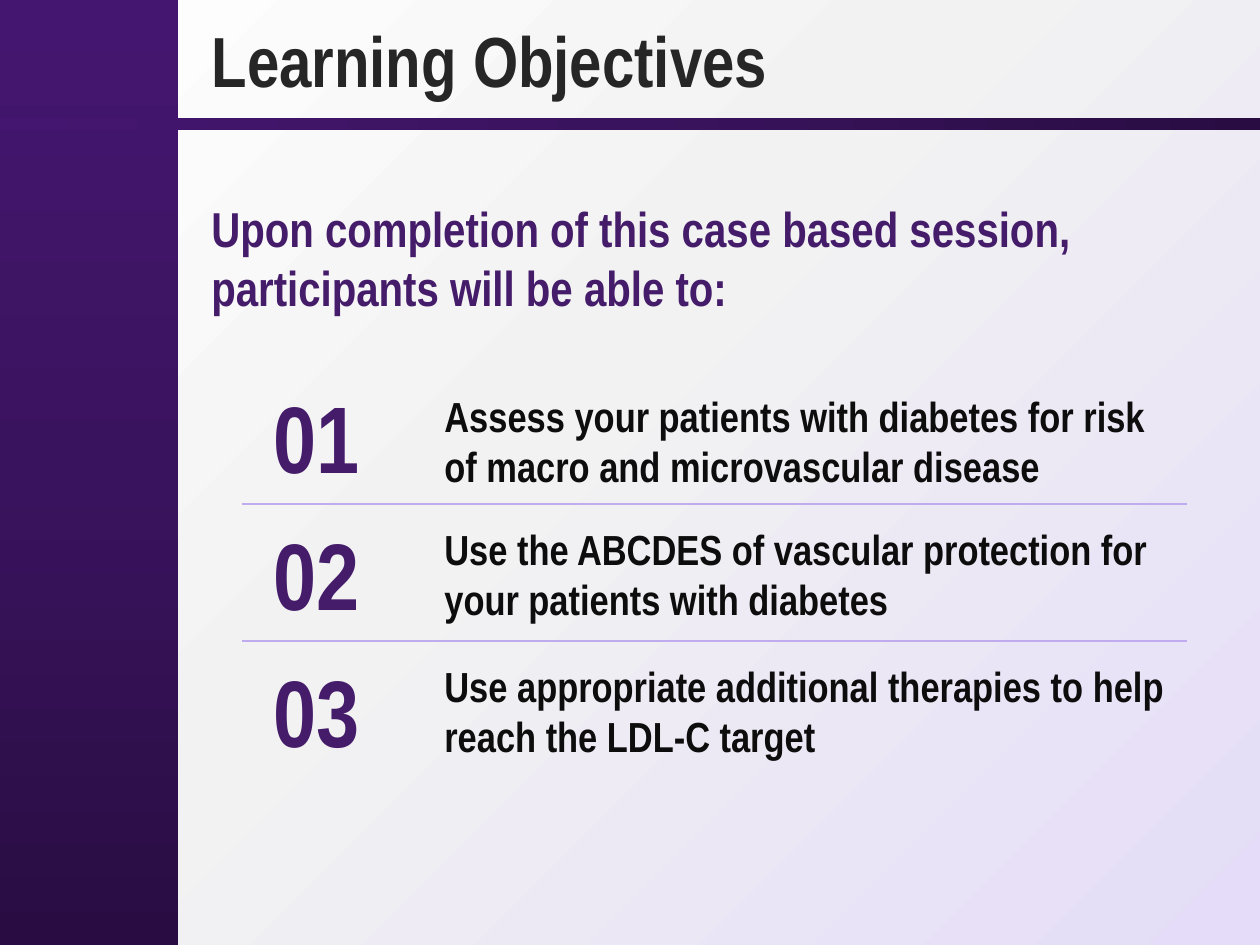
from dataclasses import dataclass

from lxml.etree import SubElement
from pptx import Presentation
from pptx.dml.color import RGBColor
from pptx.enum.shapes import MSO_CONNECTOR, MSO_SHAPE
from pptx.enum.text import MSO_ANCHOR, MSO_AUTO_SIZE, PP_ALIGN
from pptx.oxml.ns import qn
from pptx.util import Emu, Pt

PX_PER_INCH = 126
FONT = "Arial Narrow"
COLORS = {
    "title": "262626",
    "purple": "451C6A",
    "body": "0D0D0D",
    "divider": "BFACEE",
}
PANEL_STOPS = [(0, "290D42"), (50, "3A135E"), (100, "451670")]
PAGE_STOPS = [(0, "FFFFFF"), (44, "F2F2F2"), (100, "E4DCF8")]
ROW_PITCH = 137


@dataclass
class Box:
    left: int
    top: int
    width: int
    height: int


@dataclass
class Objective:
    number: str
    text: str
    text_top: int


OBJECTIVES = [
    Objective("01", "Assess your patients with diabetes for risk of macro and microvascular disease", 384),
    Objective("02", "Use the ABCDES of vascular protection for your patients with diabetes", 517),
    Objective("03", "Use appropriate additional therapies to help reach the LDL-C target", 654),
]


def px(length: int) -> Emu:
    return Emu(round(length * 914400 / PX_PER_INCH))


def emu_box(box: Box) -> list[Emu]:
    return [px(length) for length in (box.left, box.top, box.width, box.height)]


def set_gradient(fill, element, stops: list[tuple[int, str]], angle: int) -> None:
    """Fill with any number of stops; the angle runs counter-clockwise."""
    fill.gradient()
    fill.gradient_angle = angle
    stop_list = element.find(".//" + qn("a:gsLst"))
    stop_list.clear()
    for percent, color in stops:
        stop = SubElement(stop_list, qn("a:gs"), pos=str(percent * 1000))
        SubElement(stop, qn("a:srgbClr"), val=color)


def add_panel(page, box: Box, angle: int) -> None:
    panel = page.shapes.add_shape(MSO_SHAPE.RECTANGLE, *emu_box(box))
    panel.shadow.inherit = False
    panel.line.fill.background()
    set_gradient(panel.fill, panel.element, PANEL_STOPS, angle)


def write_text(shape, text: str, size: float, color: str, wrap: bool = True) -> None:
    frame = shape.text_frame
    frame.word_wrap = wrap
    frame.auto_size = MSO_AUTO_SIZE.SHAPE_TO_FIT_TEXT
    frame.vertical_anchor = MSO_ANCHOR.TOP
    para = frame.paragraphs[0]
    para.alignment = PP_ALIGN.LEFT
    span = para.add_run()
    span.text = text
    span.font.name = FONT
    span.font.size = Pt(size)
    span.font.bold = True
    span.font.color.rgb = RGBColor.from_string(COLORS[color])


def add_text(page, box: Box, text: str, size: float, color: str, wrap: bool = True) -> None:
    write_text(page.shapes.add_textbox(*emu_box(box)), text, size, color, wrap)


def add_divider(page, top: int) -> None:
    divider = page.shapes.add_connector(
        MSO_CONNECTOR.STRAIGHT, px(242), px(top), px(1187), px(top)
    )
    divider.line.color.rgb = RGBColor.from_string(COLORS["divider"])
    divider.line.width = Pt(0.75)
    SubElement(divider.element.spPr, qn("a:effectLst"))


def main() -> None:
    deck = Presentation()
    deck.slide_width, deck.slide_height = px(1260), px(945)
    page = deck.slides.add_slide(deck.slide_layouts[5])
    set_gradient(page.background.fill, page.element, PAGE_STOPS, 315)

    add_panel(page, Box(-3, 0, 181, 945), 90)
    add_panel(page, Box(-3, 118, 1263, 12), 180)

    title = page.shapes.title
    title.left, title.top, title.width, title.height = emu_box(Box(199, 10, 1061, 98))
    write_text(title, "Learning Objectives", 40.5, "title")
    add_text(
        page,
        Box(199, 192, 1014, 131),
        "Upon completion of this case based session, participants will be able to:",
        28,
        "purple",
    )

    for index, objective in enumerate(OBJECTIVES):
        offset = index * ROW_PITCH
        add_text(page, Box(261, 373 + offset, 112, 127), objective.number, 54, "purple", wrap=False)
        add_text(page, Box(432, objective.text_top, 755, 115), objective.text, 24, "body")
        if index < len(OBJECTIVES) - 1:
            add_divider(page, 504 + offset)

    deck.save("out.pptx")


if __name__ == "__main__":
    main()
